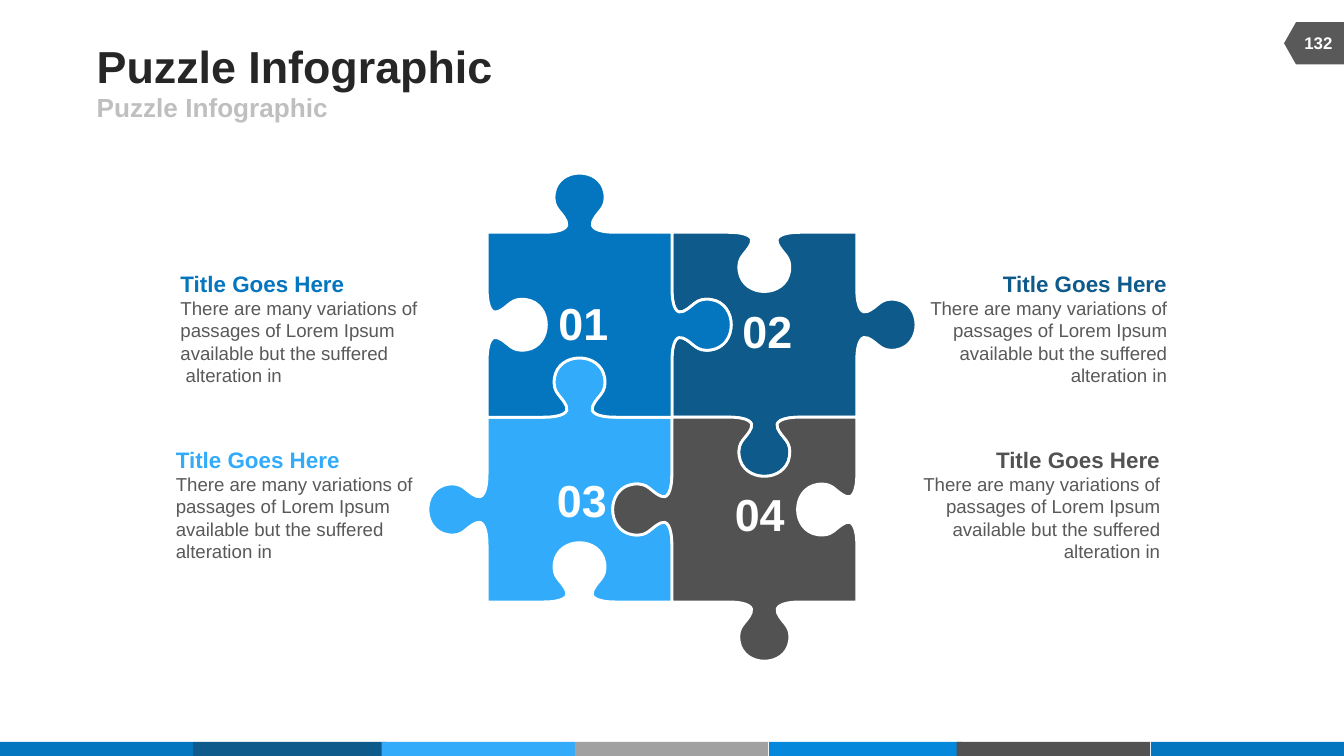
from pptx import Presentation
from pptx.dml.color import RGBColor
from pptx.enum.shapes import MSO_SHAPE
from pptx.enum.text import MSO_ANCHOR, MSO_AUTO_SIZE, PP_ALIGN
from pptx.oxml.ns import qn
from pptx.util import Pt
from lxml import etree

LEFT, RIGHT, MID = PP_ALIGN.LEFT, PP_ALIGN.RIGHT, PP_ALIGN.CENTER
TOP, CENTER, BOTTOM = MSO_ANCHOR.TOP, MSO_ANCHOR.MIDDLE, MSO_ANCHOR.BOTTOM
RECT, PAGE = MSO_SHAPE.RECTANGLE, MSO_SHAPE.FLOWCHART_OFFPAGE_CONNECTOR
FIXED = MSO_AUTO_SIZE.NONE

THEME = {
    "font": "Arial",
    "blue": "0476BF", "navy": "0E5A8B", "sky": "32ACFA", "ash": "A1A1A1",
    "azure": "0588DB", "slate": "525252", "text": "595959",
    "title": "262626", "sub": "BFBFBF", "white": "FFFFFF",
    "size": {"title": 24, "sub": 14, "page": 9, "num": 24, "head": 12, "note": 10},
}

TITLE = "Puzzle Infographic"
PAGE_NO = "132"
HEAD = "Title Goes Here"
NOTE = "There are many variations of passages of Lorem Ipsum available but the suffered"
END = "alteration in"

BANDS = [(0, "blue"), (103.5, "navy"), (204.5, "sky"), (308, "ash"),
         (412, "azure"), (512.5, "slate"), (616.5, "blue")]

# sides run clockwise from the top: 1 is a tab, -1 is a socket
PIECES = [
    {"num": "03", "tint": "sky", "cell": (0, 1), "sides": (1, -1, -1, 1),
     "label": (298, 253.5), "note": (87.1, 235.4, 170), "align": LEFT, "gap": "\v"},
    {"num": "02", "tint": "navy", "cell": (1, 0), "sides": (-1, 1, 1, -1),
     "label": (397.4, 162.9), "note": (478.2, 140.9, 154), "align": RIGHT, "gap": " "},
    {"num": "01", "tint": "blue", "cell": (0, 0), "sides": (1, 1, -1, -1),
     "label": (298.8, 158.3), "note": (89.6, 140.9, 170), "align": LEFT, "gap": "\v "},
    {"num": "04", "tint": "slate", "cell": (1, 1), "sides": (-1, -1, 1, 1),
     "label": (393.3, 260.5), "note": (474.5, 235.4, 154), "align": RIGHT, "gap": " "},
]

SIDE = 99
GRID = (261, 124.5)
HALF = [(30, 0), (41, 0), (43.9, 2.9), (42.4, 5.9),
        (39.8, 11.8), (34.8, 12.6), (36, 21), (38.2, 35.3)]
KNOB = HALF + [(SIDE - x, y) for x, y in reversed(HALF)]
CORNERS = [(0, 0), (SIDE, 0), (SIDE, SIDE), (0, SIDE)]
STEPS = [(1, 0), (0, 1), (-1, 0), (0, -1)]


def tone(name):
    return RGBColor.from_string(THEME[name])


def apply(obj, vals):
    for key, val in vals.items():
        setattr(obj, key, val)


def place(shape, box):
    apply(shape, dict(zip(("left", "top", "width", "height"), map(Pt, box))))


def paint(shape, tint, edge=None):
    shape.shadow.inherit = False
    shape.fill.solid()
    shape.fill.fore_color.rgb = tone(tint)
    if edge:
        shape.line.color.rgb = tone(edge)
        shape.line.width = Pt(1.5)
    else:
        shape.line.fill.background()


def write(shape, lines, align, anchor, wrap=False, pad=0):
    frame = shape.text_frame
    apply(frame, {"auto_size": FIXED, "word_wrap": wrap, "vertical_anchor": anchor})
    apply(frame, {"margin_left": Pt(pad), "margin_right": Pt(pad),
                  "margin_top": Pt(pad / 2), "margin_bottom": Pt(pad / 2)})
    for i, (text, role, tint) in enumerate(lines):
        para = frame.add_paragraph() if i else frame.paragraphs[0]
        para.text = text
        apply(para, {"alignment": align, "space_before": Pt(0)})
        for run in para.runs:
            apply(run.font, {"name": THEME["font"], "bold": role != "note",
                             "size": Pt(THEME["size"][role])})
            run.font.color.rgb = tone(tint)


def label(slide, box, *args, **opts):
    shape = slide.shapes.add_textbox(*map(Pt, box))
    write(shape, *args, **opts)


def outline(cell, sides):
    base = [g + c * SIDE for g, c in zip(GRID, cell)]
    pts = []
    for (cx, cy), (dx, dy), sign in zip(CORNERS, STEPS, sides):
        for along, out in KNOB + [(SIDE, 0)]:
            out *= sign
            pts.append((Pt(base[0] + cx + dx * along + dy * out),
                        Pt(base[1] + cy + dy * along - dx * out)))
    return pts


def curve(shape):
    lines = list(shape._element.iter(qn("a:lnTo")))
    span = len(KNOB) + 1
    for start in range(0, len(lines), span):
        for k in range(start + 1, start + len(KNOB), 3):
            bez = etree.Element(qn("a:cubicBezTo"))
            lines[k].addprevious(bez)
            for line in lines[k:k + 3]:
                bez.append(line[0])
                line.getparent().remove(line)


def puzzle(slide, piece):
    pts = outline(piece["cell"], piece["sides"])
    pen = slide.shapes.build_freeform(*pts[-1], scale=1.0)
    pen.add_line_segments(pts, close=True)
    shape = pen.convert_to_shape()
    curve(shape)
    paint(shape, piece["tint"], "white")


def main():
    deck = Presentation()
    apply(deck, {"slide_width": Pt(720), "slide_height": Pt(405)})
    slide = deck.slides.add_slide(deck.slide_layouts[1])
    for left, tint in BANDS:
        paint(slide.shapes.add_shape(RECT, *map(Pt, (left, 397.5, 103.5, 7.5))), tint)
    tag = slide.shapes.add_shape(PAGE, *map(Pt, (692.6, 7.2, 22.6, 32)))
    tag.rotation = 90
    paint(tag, "text")
    for piece in PIECES:
        puzzle(slide, piece)

    head, body = slide.placeholders
    place(head, (51.8, 21.1, 444, 28.2))
    write(head, [(TITLE, "title", "title")], LEFT, CENTER)
    place(body, (51.8, 49.3, 324, 15.8))
    props = body.text_frame.paragraphs[0]._p.get_or_add_pPr()
    props.set("marL", "0")
    props.set("indent", "0")
    etree.SubElement(props, qn("a:buNone"))
    write(body, [(TITLE, "sub", "sub")], LEFT, CENTER)
    label(slide, (691.2, 12.2, 30.2, 21.6), [(PAGE_NO, "page", "white")], MID, CENTER)

    for piece in PIECES:
        label(slide, (*piece["label"], 27.4, 28.8),
              [(piece["num"], "num", "white")], MID, BOTTOM)
        label(slide, (*piece["note"], 70.6),
              [(HEAD, "head", piece["tint"]), (NOTE + piece["gap"] + END, "note", "text")],
              piece["align"], TOP, wrap=True, pad=7.2)
    deck.save("out.pptx")


if __name__ == "__main__":
    main()
